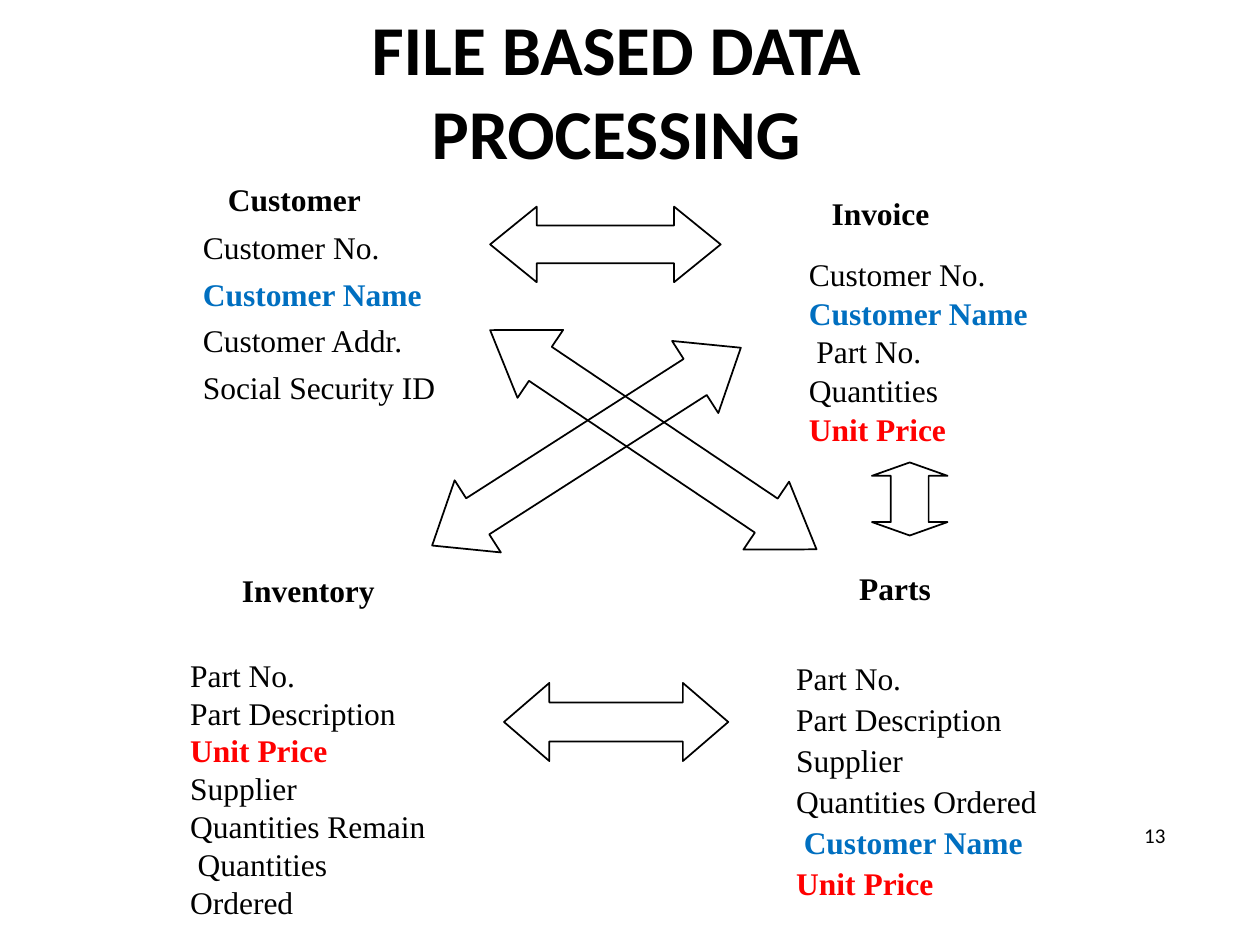
from math import atan2, degrees, hypot

from pptx import Presentation
from pptx.dml.color import RGBColor
from pptx.enum.shapes import MSO_SHAPE
from pptx.enum.text import MSO_ANCHOR, PP_ALIGN
from pptx.util import Inches, Pt

BLACK = RGBColor(0x00, 0x00, 0x00)
BLUE = RGBColor(0x00, 0x6F, 0xC0)
RED = RGBColor(0xFF, 0x00, 0x00)

TITLE = "FILE BASED DATA PROCESSING"
PAGE_NUMBER = "13"
SHARED_FIELDS = {"Customer Name": BLUE, "Unit Price": RED}

# heading, box (inches), heading indent (inches),
# points before the heading, the first field and each later field, fields
FILES = [
    ("Customer", (1.6, 1.43, 1.87, 1.93), 0.2, (9, 6, 4.9),
     ["Customer No.", "Customer Name", "Customer Addr.", "Social Security ID"]),
    ("Invoice", (6.41, 1.54, 1.77, 2.04), 0.18, (1, 13.3, 0.5),
     ["Customer No.", "Customer Name", " Part No.", "Quantities", "Unit Price"]),
    ("Inventory", (1.5, 4.53, 1.94, 2.8), 0.41, (1, 27, 0),
     ["Part No.", "Part Description", "Unit Price", "Supplier",
      "Quantities Remain", " Quantities Ordered"]),
    ("Parts", (6.31, 4.52, 1.94, 2.66), 0.5, (1, 29.8, 1.8),
     ["Part No.", "Part Description", "Supplier", "Quantities Ordered",
      " Customer Name", "Unit Price"]),
]
LINE_HEIGHT = Pt(21.6)
FIELD_INDENT = 0.06  # for fields set in by a leading space

# from tip, to tip, width across the heads, head length (inches)
LINKS = [
    ((3.89, 1.94), (5.72, 1.94), 0.6, 0.37),
    ((7.22, 3.67), (7.22, 4.25), 0.6, 0.11),
    ((4.0, 5.73), (5.78, 5.73), 0.62, 0.36),
    ((3.43, 4.33), (5.88, 2.76), 0.68, 0.43),
    ((3.89, 2.62), (6.48, 4.36), 0.65, 0.48),
]


def add_text_frame(slide, box, anchor=MSO_ANCHOR.TOP):
    frame = slide.shapes.add_textbox(*map(Inches, box)).text_frame
    frame.word_wrap = True
    frame.vertical_anchor = anchor
    frame.margin_left = frame.margin_right = 0
    frame.margin_top = frame.margin_bottom = 0
    return frame


def write(paragraph, text, font_name, size, color=BLACK, bold=False):
    paragraph.text = text
    font = paragraph.font
    font.name, font.size, font.bold = font_name, Pt(size), bold
    font.color.rgb = color


def add_file(slide, heading, box, heading_indent, gaps, fields):
    frame = add_text_frame(slide, box)
    frame.margin_left = Inches(0.01)
    for row, line in enumerate([heading] + fields):
        paragraph = frame.paragraphs[0] if row == 0 else frame.add_paragraph()
        label = line.strip()
        write(paragraph, label, "Times New Roman", 18,
              SHARED_FIELDS.get(label, BLACK), row == 0 or label in SHARED_FIELDS)
        paragraph.line_spacing = LINE_HEIGHT
        paragraph.space_before = Pt(gaps[min(row, 2)])
        indent = heading_indent if row == 0 else FIELD_INDENT * (line != label)
        if indent:
            paragraph._p.get_or_add_pPr().set("indent", str(Inches(indent)))


def add_link(slide, start, end, width, head):
    """Add a double arrow that reaches from one tip to the other."""
    dx, dy = end[0] - start[0], end[1] - start[1]
    length = hypot(dx, dy)
    left = (start[0] + end[0] - length) / 2
    top = (start[1] + end[1] - width) / 2
    arrow = slide.shapes.add_shape(
        MSO_SHAPE.LEFT_RIGHT_ARROW, *map(Inches, (left, top, length, width)))
    arrow.adjustments[0] = 0.5
    arrow.adjustments[1] = head / width
    arrow.rotation = degrees(atan2(dy, dx))
    arrow.shadow.inherit = False
    arrow.fill.background()
    arrow.line.color.rgb = BLACK
    arrow.line.width = Pt(1)


def main():
    presentation = Presentation()
    presentation.slide_width, presentation.slide_height = Inches(10), Inches(7.5)
    slide = presentation.slides.add_slide(presentation.slide_layouts[6])

    for file in FILES:
        add_file(slide, *file)
    for link in LINKS:
        add_link(slide, *link)

    title = add_text_frame(slide, (1.83, 0.03, 6.12, 1.36), MSO_ANCHOR.MIDDLE)
    write(title.paragraphs[0], TITLE, "Calibri", 40, bold=True)
    title.paragraphs[0].alignment = PP_ALIGN.CENTER

    number = add_text_frame(slide, (8.62, 6.43, 0.63, 0.4), MSO_ANCHOR.MIDDLE)
    write(number.paragraphs[0], PAGE_NUMBER, "Calibri", 12)
    number.paragraphs[0].alignment = PP_ALIGN.RIGHT

    presentation.save("out.pptx")


if __name__ == "__main__":
    main()
